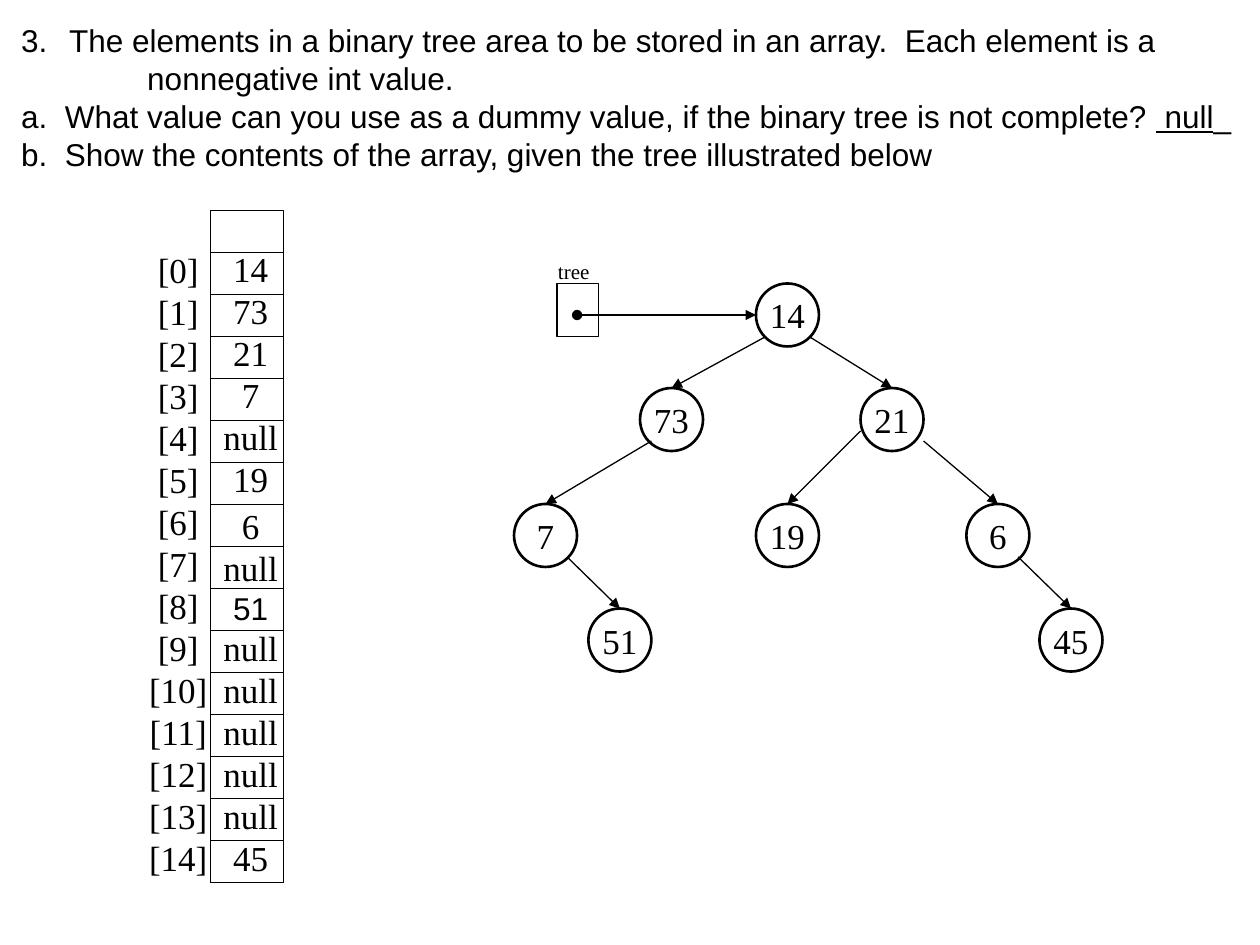
from lxml import etree
from pptx import Presentation
from pptx.dml.color import RGBColor
from pptx.enum.shapes import MSO_CONNECTOR, MSO_SHAPE
from pptx.enum.text import MSO_ANCHOR, MSO_AUTO_SIZE, PP_ALIGN
from pptx.oxml.ns import qn
from pptx.util import Inches, Pt

BLACK = RGBColor(0, 0, 0)
STRAIGHT = MSO_CONNECTOR.STRAIGHT
RECTANGLE, OVAL = MSO_SHAPE.RECTANGLE, MSO_SHAPE.OVAL
LEFT, CENTER = PP_ALIGN.LEFT, PP_ALIGN.CENTER
MIDDLE = MSO_ANCHOR.MIDDLE
FIT_SHAPE = MSO_AUTO_SIZE.SHAPE_TO_FIT_TEXT
SANS, SERIF = "Arial", "Times New Roman"

prs = Presentation()
prs.slide_width, prs.slide_height = Inches(10), Inches(7.5)
slide = prs.slides.add_slide(prs.slide_layouts[6])


def write(frame, lines, font=SERIF, size=20, align=CENTER):
    """Fill a text frame; each line is a list of (text, underlined) runs or a string."""
    frame.word_wrap = False
    for i, line in enumerate(lines):
        paragraph = frame.paragraphs[0] if i == 0 else frame.add_paragraph()
        paragraph.alignment = align
        for text, underlined in [(line, False)] if isinstance(line, str) else line:
            run = paragraph.add_run()
            run.text = text
            run.font.name, run.font.size = font, Pt(size)
            run.font.color.rgb = BLACK
            run.font.underline = underlined


def draw_line(parent, x1, y1, x2, y2, head=None, tail=None):
    """Draw a thin straight line with optional end marks."""
    line = parent.add_connector(STRAIGHT, Inches(x1), Inches(y1), Inches(x2), Inches(y2))
    line.line.color.rgb, line.line.width = BLACK, Pt(0.75)
    outline = line.line._get_or_add_ln()
    for tag, mark in (("a:headEnd", head), ("a:tailEnd", tail)):
        if mark:
            etree.SubElement(outline, qn(tag)).set("type", mark)
    etree.SubElement(line._element.spPr, qn("a:effectLst"))
    return line


# Question text
question = slide.shapes.add_textbox(Inches(0.07), Inches(0.12), Inches(9.89), Inches(1.31)).text_frame
write(question, [
    "The elements in a binary tree area to be stored in an array.  Each element is a",
    "nonnegative int value.",
    [("a.  What value can you use as a dummy value, if the binary tree is not complete? ", False),
     (" null", True), ("_", False)],
    "b.  Show the contents of the array, given the tree illustrated below",
], font=SANS, size=18, align=LEFT)
question.auto_size = FIT_SHAPE
question.paragraphs[1].level = 1
for paragraph, margin in zip(question.paragraphs, (0.38, 1.38, 0.38, 0.38)):
    properties = paragraph._p.get_or_add_pPr()
    properties.set("marL", str(Inches(margin)))
    properties.set("indent", str(Inches(-0.38)))
numbering = etree.SubElement(question.paragraphs[0]._p.pPr, qn("a:buAutoNum"))
numbering.set("type", "arabicPeriod")
numbering.set("startAt", "3")

# Tree nodes: value -> left, top
NODE = 0.5
node_places = {
    "14": (6, 2.25), "73": (5.08, 3.08), "21": (6.83, 3.08), "7": (4.08, 4),
    "51": (4.67, 4.83), "19": (6, 4), "6": (7.67, 4), "45": (8.25, 4.83),
}
nodes = {}
for value, (left, top) in node_places.items():
    node = slide.shapes.add_shape(OVAL, Inches(left), Inches(top), Inches(NODE), Inches(NODE))
    node.shadow.inherit = False
    node.fill.background()
    node.line.color.rgb, node.line.width = BLACK, Pt(1.5)
    node.text_frame.vertical_anchor = MIDDLE
    write(node.text_frame, [value])
    nodes[value] = node

# Branches: start point on the parent, then the child whose top they reach
branches = [
    (6.08, 2.67, "73"), (6.42, 2.67, "21"), (5.17, 3.5, "7"), (6.83, 3.42, "19"),
    (4.5, 4.42, "51"), (7.33, 3.5, "6"), (8.08, 4.42, "45"),
]
for x, y, child in branches:
    left, top = node_places[child]
    branch = draw_line(slide.shapes, x, y, left + NODE / 2, top, tail="triangle")
    branch.end_connect(nodes[child], 0)

# Root reference
reference = slide.shapes.add_shape(RECTANGLE, Inches(4.42), Inches(2.25), Inches(0.33), Inches(0.42))
reference.shadow.inherit = False
reference.fill.background()
reference.line.color.rgb, reference.line.width = BLACK, Pt(0.75)
draw_line(slide.shapes, 4.58, 2.5, 6, 2.5, head="oval", tail="triangle")
tree_label = slide.shapes.add_textbox(Inches(4.33), Inches(2), Inches(0.45), Inches(0.3)).text_frame
write(tree_label, ["tree"], size=12, align=LEFT)
tree_label.auto_size = FIT_SHAPE

# Array frame, indexes and row lines
ROWS, ROW = 16, 1 / 3
ARRAY_LEFT, ARRAY_RIGHT, ARRAY_TOP = 1.67, 2.25, 1.67
array = slide.shapes.add_group_shape().shapes
frame = array.add_shape(RECTANGLE, Inches(ARRAY_LEFT), Inches(ARRAY_TOP),
                        Inches(ARRAY_RIGHT - ARRAY_LEFT), Inches(ROWS * ROW))
frame.shadow.inherit = False
frame.fill.background()
frame.line.color.rgb, frame.line.width = BLACK, Pt(0.75)

indexes = array.add_textbox(Inches(1.08), Inches(1.92), Inches(0.67), Inches(5.15)).text_frame
write(indexes, [f"[{i}]" for i in range(ROWS - 1)])
indexes.auto_size = FIT_SHAPE

for row in range(ROWS, 0, -1):
    y = ARRAY_TOP + row * ROW
    row_line = draw_line(array, ARRAY_LEFT, y, ARRAY_RIGHT, y)
    if row == ROWS // 2:
        row_line.begin_connect(frame, 1)
        row_line.end_connect(frame, 3)

# Array values, starting below the empty top cell
values = slide.shapes.add_textbox(Inches(1.67), Inches(1.58), Inches(0.64), Inches(5.49)).text_frame
write(values, ["14", "73", "21", "7", "null", "19", "6", "null", "51",
               "null", "null", "null", "null", "null", "45"])
values.margin_top = Inches(0.05 + ROW)
values.auto_size = FIT_SHAPE
values.paragraphs[6].space_before = Pt(3)
leaf_font = values.paragraphs[8].runs[0].font
leaf_font.name, leaf_font.size = SANS, Pt(18)

prs.save("out.pptx")
